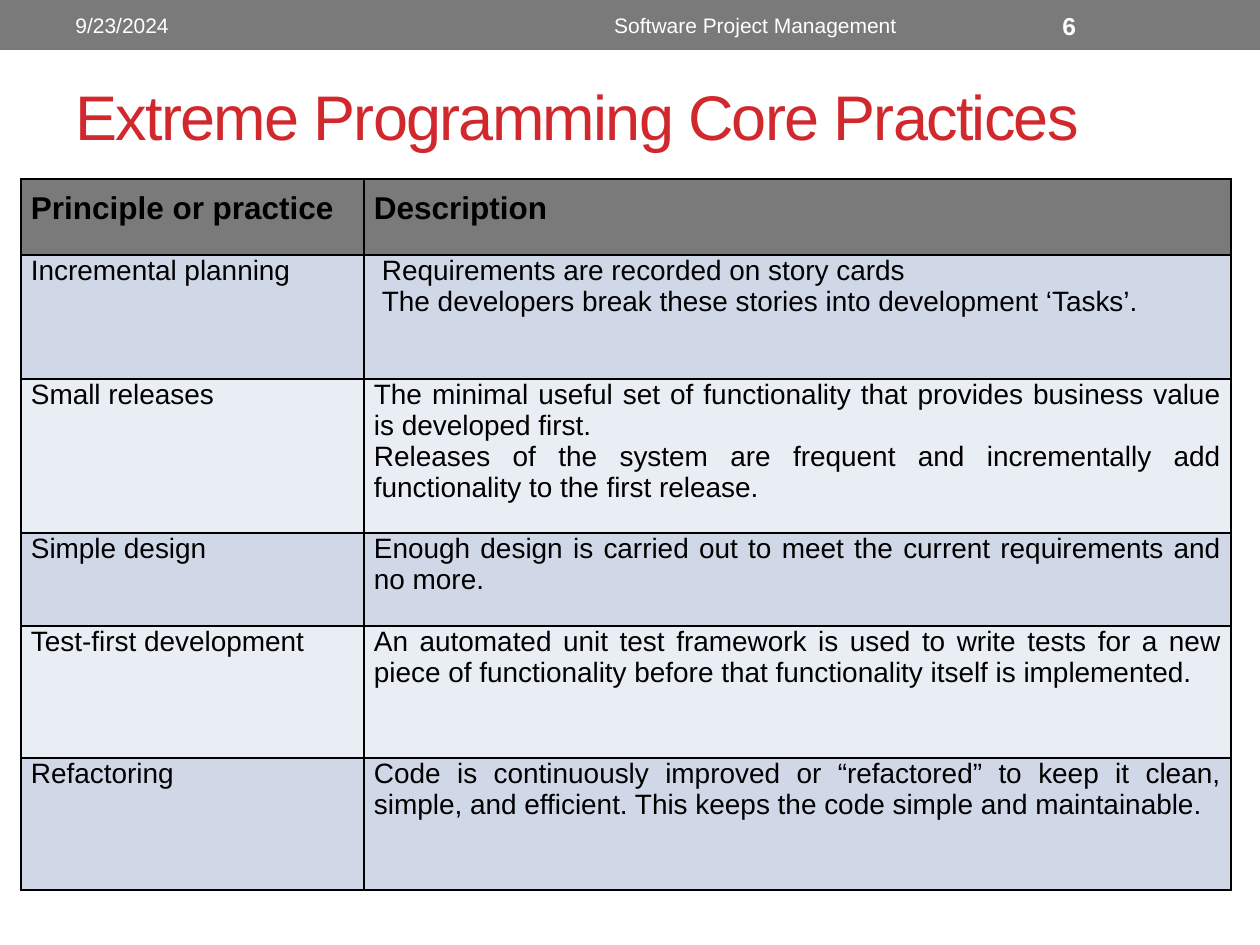
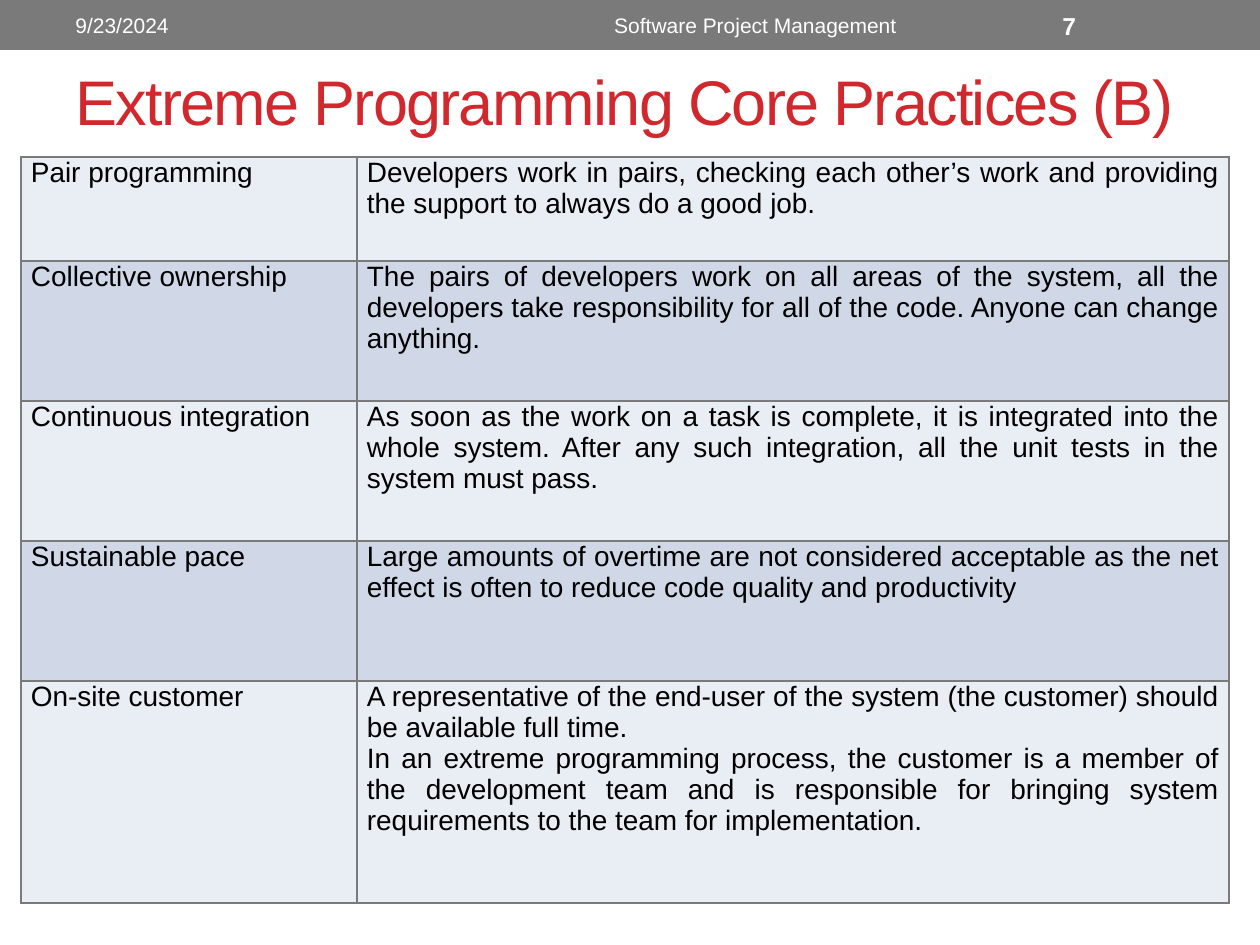
from lxml.etree import SubElement
from pptx import Presentation
from pptx.dml.color import RGBColor
from pptx.enum.shapes import MSO_SHAPE
from pptx.enum.text import MSO_ANCHOR, PP_ALIGN
from pptx.oxml.ns import qn
from pptx.util import Emu, Pt

PX = 914400 / 126  # EMU in one px
FONT = "Arial"
GREY, RED, WHITE, BLACK = "7A7A7A", "D1282E", "FFFFFF", "000000"
DARK, LIGHT = "D0D8E8", "E9EDF4"

HEAD = ("Principle or practice", "Description")
CORE = [
    ("Incremental planning",
     "Requirements are recorded on story cards\n"
     "The developers break these stories into development ‘Tasks’."),
    ("Small releases",
     "The minimal useful set of functionality that provides business value "
     "is developed first.\n"
     "Releases of the system are frequent and incrementally add "
     "functionality to the first release."),
    ("Simple design",
     "Enough design is carried out to meet the current requirements and "
     "no more."),
    ("Test-first development",
     "An automated unit test framework is used to write tests for a new "
     "piece of functionality before that functionality itself is implemented."),
    ("Refactoring",
     "Code is continuously improved or “refactored” to keep it clean, "
     "simple, and efficient. This keeps the code simple and maintainable."),
]
MORE = [
    ("Pair programming",
     "Developers work in pairs, checking each other’s work and providing "
     "the support to always do a good job."),
    ("Collective ownership",
     "The pairs of developers work on all areas of the system, all the "
     "developers take responsibility for all of the code. Anyone can change "
     "anything."),
    ("Continuous integration",
     "As soon as the work on a task is complete, it is integrated into the "
     "whole system. After any such integration, all the unit tests in the "
     "system must pass."),
    ("Sustainable pace",
     "Large amounts of overtime are not considered acceptable as the net "
     "effect is often to reduce code quality and productivity"),
    ("On-site customer",
     "A representative of the end-user of the system (the customer) should "
     "be available full time.\n"
     "In an extreme programming process, the customer is a member of the "
     "development team and is responsible for bringing system requirements "
     "to the team for implementation."),
]


def px(n):
    return Emu(round(n * PX))


def rgb(code):
    return RGBColor.from_string(code)


def style(para, size, color, bold=False, align=PP_ALIGN.LEFT):
    para.alignment = align
    font = para.font
    font.name, font.size, font.bold = FONT, Pt(size), bold
    font.color.rgb = rgb(color)


def add_text(slide, text, box, size, color, bold=False, align=PP_ALIGN.LEFT):
    frame = slide.shapes.add_textbox(*map(px, box)).text_frame
    frame.word_wrap = True
    frame.vertical_anchor = MSO_ANCHOR.MIDDLE
    para = frame.paragraphs[0]
    para.text = text
    style(para, size, color, bold, align)
    return para


def add_band(slide, number):
    """Draw the top band with date, course and slide number."""
    band = slide.shapes.add_shape(MSO_SHAPE.RECTANGLE, 0, 0, px(1260), px(50))
    band.shadow.inherit = False
    band.fill.solid()
    band.fill.fore_color.rgb = rgb(GREY)
    band.line.fill.background()
    add_text(slide, "9/23/2024", (63, 3, 399, 45), 12, WHITE)
    add_text(slide, "Software Project Management", (472, 3, 567, 45), 12,
             WHITE, align=PP_ALIGN.CENTER)
    add_text(slide, str(number), (1050, 3, 147, 45), 14, WHITE, bold=True)


def add_title(slide, text, top, height):
    para = add_text(slide, text, (63, top, 1134, height), 36, RED)
    para.runs[0]._r.get_or_add_rPr().set("spc", "-100")


def add_edges(cell, color):
    props = cell._tc.get_or_add_tcPr()
    for side in ("lnL", "lnR", "lnT", "lnB"):
        line = SubElement(props, qn(f"a:{side}"), w=str(Pt(1)))
        fill = SubElement(line, qn("a:solidFill"))
        SubElement(fill, qn("a:srgbClr"), val=color)


def fill_cell(cell, text, fill, edge, head=False):
    add_edges(cell, edge)
    cell.fill.solid()
    cell.fill.fore_color.rgb = rgb(fill)
    cell.margin_left = cell.margin_right = px(10)
    cell.margin_top, cell.margin_bottom = px(12 if head else 0), px(12)
    cell.text = text
    for para in cell.text_frame.paragraphs:
        style(para, 18 if head else 16, BLACK, head, PP_ALIGN.JUSTIFY)


def add_grid(slide, rows, top, widths, heights, fills, edge):
    """Place a table whose row fills are listed in order."""
    table = slide.shapes.add_table(
        len(rows), len(widths), px(21), px(top),
        px(sum(widths)), px(sum(heights))).table
    table.first_row = table.horz_banding = False
    for col, width in zip(table.columns, widths):
        col.width = px(width)
    for row, height, texts, fill in zip(table.rows, heights, rows, fills):
        row.height = px(height)
        for cell, text in zip(row.cells, texts):
            fill_cell(cell, text, fill, edge, head=fill == GREY)
    return table


def add_slide(deck, number, title, top, height):
    slide = deck.slides.add_slide(deck.slide_layouts[6])
    add_band(slide, number)
    add_title(slide, title, top, height)
    return slide


def main():
    deck = Presentation()
    deck.slide_width, deck.slide_height = px(1260), px(945)
    title = "Extreme Programming Core Practices"

    first = add_slide(deck, 6, title, 63, 105)
    table = add_grid(first, [HEAD] + CORE, 179, (343, 867),
                     (76, 124, 154, 93, 132, 132),
                     [GREY] + [DARK, LIGHT] * 3, BLACK)
    for para in table.cell(1, 1).text_frame.paragraphs:
        para._p.get_or_add_pPr().set("marL", str(px(8)))

    second = add_slide(deck, 7, f"{title} (B)", 53, 95)
    add_grid(second, MORE, 157, (336, 872), (104, 140, 140, 140, 222),
             [LIGHT, DARK] * 3, GREY)
    deck.save("out.pptx")


if __name__ == "__main__":
    main()
